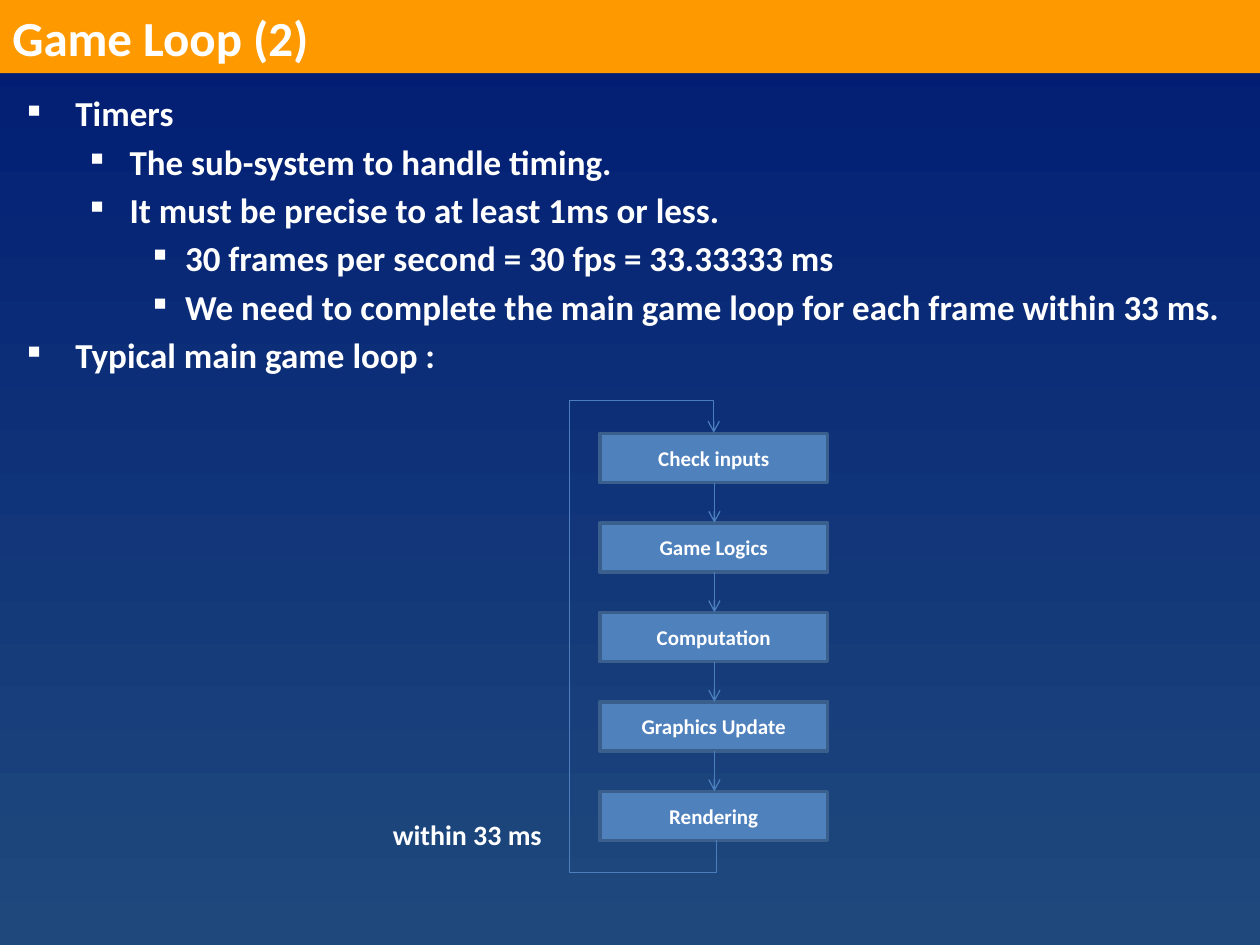
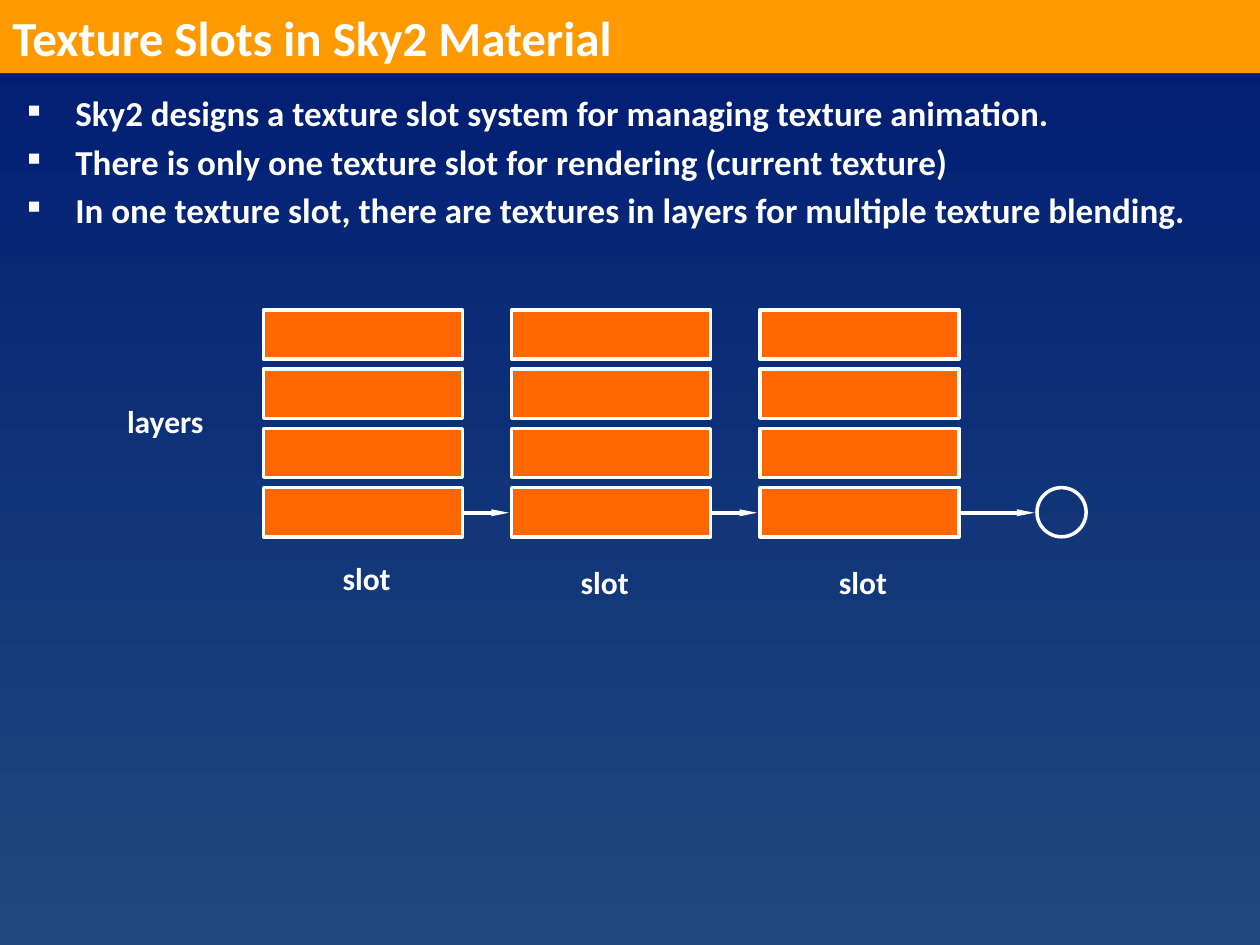
from pptx import Presentation
from pptx.util import Inches, Pt
from pptx.dml.color import RGBColor
from pptx.enum.shapes import MSO_SHAPE, MSO_CONNECTOR
from pptx.enum.text import PP_ALIGN, MSO_ANCHOR, MSO_AUTO_SIZE
from pptx.oxml.ns import qn
from lxml.etree import SubElement

HUES = {
    "top": "001C74", "base": "1F497D", "band": "FF9900", "text": "FFFFFF",
    "step": "4F81BD", "edge": "3A5F8C", "flow": "4B7EBC", "layer": "FF6600",
}
FONT = "Calibri"
INDENT = [(0.38, 0.38), (0.81, 0.31), (1.25, 0.25)]


def hue(name):
    return RGBColor.from_string(HUES[name])


class Deck:
    def __init__(self):
        self.prs = Presentation()
        self.prs.slide_width = Inches(10)
        self.prs.slide_height = Inches(7.5)
        fill = self.prs.slide_master.background.fill
        fill.gradient()
        fill.gradient_angle = 270
        for stop, name, place in zip(fill.gradient_stops, ("top", "base"), (0, 1)):
            stop.color.rgb = hue(name)
            stop.position = place

    def page(self, title):
        self.slide = self.prs.slides.add_slide(self.prs.slide_layouts[6])
        band = self.shape(0, 0, 10, 0.58, "band")
        self.words(band.text_frame, title, 28)

    def run(self, para, text, size):
        run = para.add_run()
        run.text = text
        font = run.font
        font.name, font.size, font.bold = FONT, Pt(size), True
        font.color.rgb = hue("text")

    def words(self, frame, text, size, align=PP_ALIGN.LEFT):
        para = frame.paragraphs[0]
        para.alignment = align
        self.run(para, text, size)

    def shape(self, x, y, w, h, fill=None, line=None, kind=MSO_SHAPE.RECTANGLE):
        shape = self.slide.shapes.add_shape(kind, Inches(x), Inches(y), Inches(w), Inches(h))
        shape.shadow.inherit = False
        if fill:
            shape.fill.solid()
            shape.fill.fore_color.rgb = hue(fill)
        else:
            shape.fill.background()
        if line:
            shape.line.color.rgb = hue(line)
            shape.line.width = Pt(2)
        else:
            shape.line.fill.background()
        shape.text_frame.vertical_anchor = MSO_ANCHOR.MIDDLE
        return shape

    def label(self, x, y, w, h, text, size):
        box = self.slide.shapes.add_textbox(Inches(x), Inches(y), Inches(w), Inches(h))
        frame = box.text_frame
        frame.word_wrap = False
        frame.auto_size = MSO_AUTO_SIZE.SHAPE_TO_FIT_TEXT
        self.words(frame, text, size)

    def bullets(self, h, items):
        box = self.slide.shapes.add_textbox(Inches(0.12), Inches(0.68), Inches(9.69), Inches(h))
        frame = box.text_frame
        frame.word_wrap = True
        for i, (level, text) in enumerate(items):
            para = frame.add_paragraph() if i else frame.paragraphs[0]
            para.level = level
            if i:
                para.space_before = Pt(3.6)
            left, hang = INDENT[level]
            props = para._p.get_or_add_pPr()
            props.set("marL", str(Inches(left)))
            props.set("indent", str(-Inches(hang)))
            SubElement(props, qn("a:buSzPct"), val="50000")
            SubElement(props, qn("a:buChar"), char="■")
            self.run(para, text, 20)

    def arrow(self, x1, y1, x2, y2, color, width, kind=MSO_CONNECTOR.STRAIGHT, **head):
        link = self.slide.shapes.add_connector(kind, Inches(x1), Inches(y1), Inches(x2), Inches(y2))
        link.line.color.rgb = hue(color)
        link.line.width = Pt(width)
        SubElement(link.line._get_or_add_ln(), qn("a:tailEnd"), **head)
        SubElement(link._element.spPr, qn("a:effectLst"))
        return link

    def loop(self, first, last):
        x, y, w, h = 4.06, 5.04, 3.23, 0.02
        link = self.arrow(x, y, x + w, y + h, "flow", 0.75, MSO_CONNECTOR.ELBOW, type="arrow")
        link.begin_connect(last, 2)
        link.end_connect(first, 0)
        link.left, link.top, link.width, link.height = map(Inches, (x, y, w, h))
        props = link._element.spPr
        frame = props.find(qn("a:xfrm"))
        frame.attrib.clear()
        frame.set("rot", "5400000")
        frame.set("flipH", "1")
        geom = props.find(qn("a:prstGeom"))
        geom.set("prst", "bentConnector5")
        guides = geom.find(qn("a:avLst"))
        for i, ratio in enumerate((-0.08, 58, 1.08), 1):
            SubElement(guides, qn("a:gd"), name=f"adj{i}", fmla=f"val {round(ratio * 100000)}")


def game_loop(deck):
    deck.page("Game Loop (2)")
    deck.bullets(2.52, [
        (0, "Timers"),
        (1, "The sub-system to handle timing."),
        (1, "It must be precise to at least 1ms or less."),
        (2, "30 frames per second = 30 fps = 33.33333 ms"),
        (2, "We need to complete the main game loop for each frame within 33 ms."),
        (0, "Typical main game loop :"),
    ])
    names = ["Check inputs", "Game Logics", "Computation", "Graphics Update", "Rendering"]
    top, high, pitch = 3.44, 0.39, 0.71
    steps = []
    for i, name in enumerate(names):
        y = top + i * pitch
        step = deck.shape(4.76, y, 1.81, high, "step", "edge")
        deck.words(step.text_frame, name, 12, PP_ALIGN.CENTER)
        steps.append(step)
        if i:
            deck.arrow(5.67, y - pitch + high, 5.67, y, "flow", 0.75, type="arrow")
    deck.loop(steps[0], steps[-1])
    deck.label(3.02, 6.44, 1.4, 0.37, "within 33 ms", 16)


def slots(deck):
    deck.page("Texture Slots in Sky2 Material")
    deck.bullets(1.65, [
        (0, "Sky2 designs a texture slot system for managing texture animation."),
        (0, "There is only one texture slot for rendering (current texture)"),
        (0, "In one texture slot, there are textures in layers for multiple texture blending."),
    ])
    left, wide, pitch = 2.09, 1.58, 1.97
    base, high, rise = 3.87, 0.39, 0.47
    ring = 8.23
    ends = [left + pitch, left + 2 * pitch, ring]
    tags = [(2.62, 4.39), (4.51, 4.42), (6.56, 4.42)]
    for col, (end, (x, y)) in enumerate(zip(ends, tags)):
        start = left + col * pitch
        for row in range(4):
            deck.shape(start, base - row * rise, wide, high, "layer", "text")
        deck.arrow(start + wide + 0.01, 4.07, end - 0.02, 4.07, "text", 2,
                   type="triangle", w="sm", len="lg")
        deck.label(x, y, 0.59, 0.4, "slot", 18)
    deck.shape(ring, base, high, high, line="text", kind=MSO_SHAPE.OVAL)
    deck.label(0.91, 3.14, 0.81, 0.4, "layers", 18)


def main():
    deck = Deck()
    game_loop(deck)
    slots(deck)
    deck.prs.save("out.pptx")


if __name__ == "__main__":
    main()
